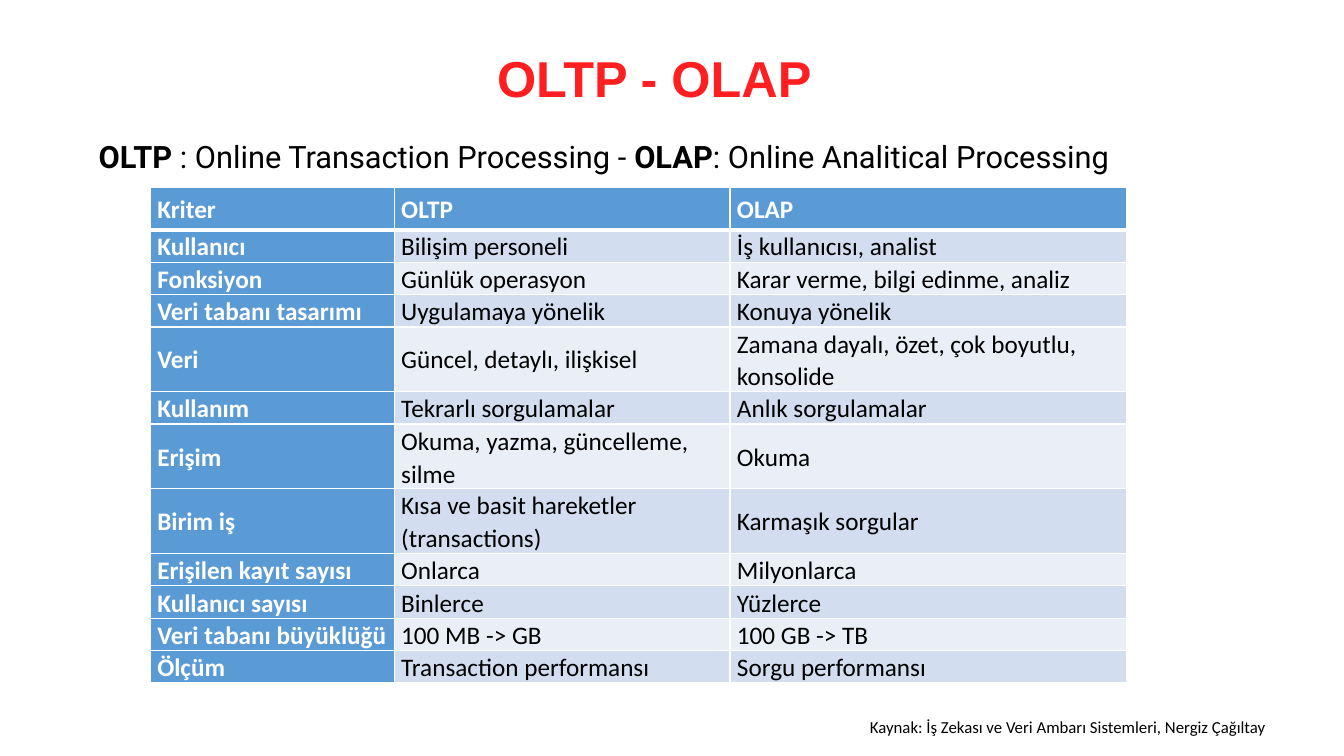
from pptx import Presentation
from pptx.dml.color import RGBColor
from pptx.enum.text import MSO_ANCHOR, MSO_AUTO_SIZE, PP_ALIGN
from pptx.oxml.ns import qn
from pptx.util import Inches, Pt
from lxml.etree import SubElement

THEME = {
    "red": RGBColor.from_string("FF1F20"),
    "black": RGBColor.from_string("000000"),
    "white": RGBColor.from_string("FFFFFF"),
    "head": RGBColor.from_string("5B9BD5"),
    "bands": [RGBColor.from_string("EAEFF7"), RGBColor.from_string("D2DEEF")],
    "title": 36, "subtitle": 22, "cell": 18, "source": 12,
}

prs = Presentation()
prs.slide_width, prs.slide_height = Inches(13.33), Inches(7.5)
s = prs.slides.add_slide(prs.slide_layouts[6])


def add_text(box, runs, font, size, color, spacing=1.0):
    """Add a one-paragraph text box; runs are (text, bold) pairs."""
    tf = s.shapes.add_textbox(*[Inches(v) for v in box]).text_frame
    tf.word_wrap = True
    p = tf.paragraphs[0]
    p.line_spacing = spacing
    p.font.name, p.font.size, p.font.color.rgb = font, Pt(size), color
    for text, bold in runs:
        r = p.add_run()
        r.text, r.font.bold = text, bold
    return tf


def add_border(cell, side, width):
    """Draw one solid white cell edge; call before filling the cell."""
    ln = SubElement(cell._tc.get_or_add_tcPr(), qn(f"a:ln{side}"), w=str(Pt(width)))
    fill = SubElement(ln, qn("a:solidFill"))
    SubElement(fill, qn("a:srgbClr"), val=str(THEME["white"]))


# Title and subtitle
tf = add_text((1.49, 0.44, 10, 0.74), [("OLTP - OLAP", True)],
              "Arial", THEME["title"], THEME["red"], 0.9)
tf.vertical_anchor = MSO_ANCHOR.MIDDLE
tf.paragraphs[0].alignment = PP_ALIGN.CENTER

add_text((0.88, 1.13, 11.01, 0.59),
         [("OLTP", True), (" : Online Transaction Processing - ", False),
          ("OLAP", True), (": Online Analitical Processing", False)],
         "Roboto", THEME["subtitle"], THEME["black"], 1.5)

# Comparison table
rows = [
    ("Kriter", "OLTP", "OLAP"),
    ("Kullanıcı", "Bilişim personeli", "İş kullanıcısı, analist"),
    ("Fonksiyon", "Günlük operasyon", "Karar verme, bilgi edinme, analiz"),
    ("Veri tabanı tasarımı", "Uygulamaya yönelik", "Konuya yönelik"),
    ("Veri", "Güncel, detaylı, ilişkisel", "Zamana dayalı, özet, çok boyutlu, konsolide"),
    ("Kullanım", "Tekrarlı sorgulamalar", "Anlık sorgulamalar"),
    ("Erişim", "Okuma, yazma, güncelleme, silme", "Okuma"),
    ("Birim iş", "Kısa ve basit hareketler (transactions)", "Karmaşık sorgular"),
    ("Erişilen kayıt sayısı", "Onlarca", "Milyonlarca"),
    ("Kullanıcı sayısı", "Binlerce", "Yüzlerce"),
    ("Veri tabanı büyüklüğü", "100 MB -> GB", "100 GB -> TB"),
    ("Ölçüm", "Transaction performansı", "Sorgu performansı"),
]
col_widths = [2.42, 3.33, 3.93]
header_height, line_height = 0.42, 0.27
tall_rows = {4: 0.55, 6: 0.55, 7: 0.55}
heights = [header_height] + [tall_rows.get(i, line_height) for i in range(1, len(rows))]

table = s.shapes.add_table(len(rows), len(col_widths), Inches(1.49), Inches(1.86),
                           Inches(sum(col_widths)), Inches(sum(heights))).table
table.first_col = True
for column, width in zip(table.columns, col_widths):
    column.width = Inches(width)

for i, row in enumerate(rows):
    table.rows[i].height = Inches(heights[i])
    for j, text in enumerate(row):
        cell = table.cell(i, j)
        is_head = i == 0 or j == 0
        for side in "LRTB":
            under_header = (i, side) in ((0, "B"), (1, "T"))
            add_border(cell, side, 3 if under_header else 1)
        cell.fill.solid()
        cell.fill.fore_color.rgb = THEME["head"] if is_head else THEME["bands"][i % 2]
        cell.margin_left = cell.margin_right = Inches(0.07)
        cell.margin_top = cell.margin_bottom = 0
        cell.vertical_anchor = MSO_ANCHOR.MIDDLE
        cell.text = text
        p = cell.text_frame.paragraphs[0]
        p.line_spacing = 1.07
        p.font.name, p.font.size, p.font.bold = "Calibri", Pt(THEME["cell"]), is_head
        p.font.color.rgb = THEME["white"] if is_head else THEME["black"]

# Source line
tf = add_text((8.53, 7.06, 4.17, 0.3),
              [("Kaynak: İş Zekası ve Veri Ambarı Sistemleri, Nergiz Çağıltay", False)],
              "Calibri", THEME["source"], THEME["black"])
tf.word_wrap = False
tf.auto_size = MSO_AUTO_SIZE.SHAPE_TO_FIT_TEXT

prs.save("out.pptx")
